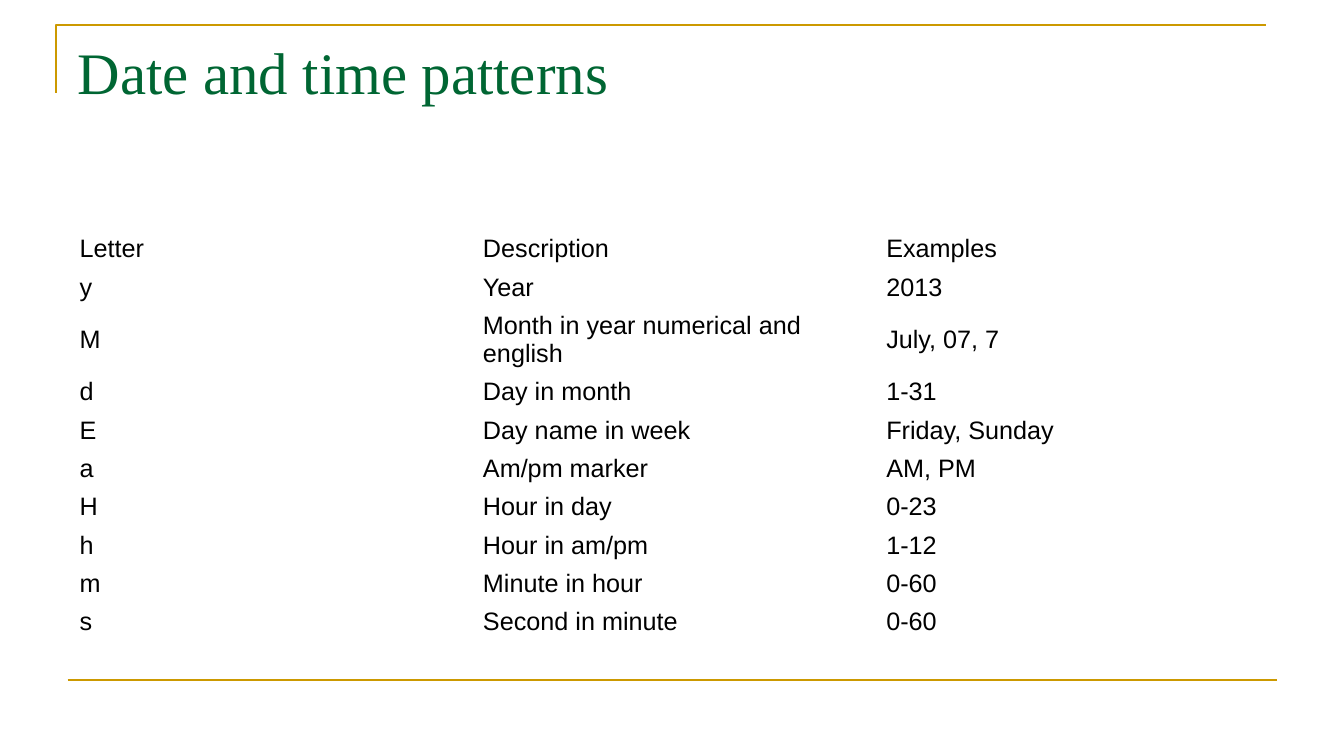
"""Build a slide with a table of date and time pattern letters."""
from pptx import Presentation
from pptx.dml.color import RGBColor
from pptx.enum.shapes import MSO_CONNECTOR as Conn
from pptx.enum.text import MSO_ANCHOR as Anchor, PP_ALIGN as Align
from pptx.oxml.ns import qn
from pptx.util import Inches, Pt
from lxml.etree import SubElement

GOLD, GREEN, BLACK = "CC9900", "006633", "000000"
LEFT, WIDTH = 0.67, 12
ROW_H, LINE_H = 0.38, 0.28
ROWS = [
    ("Letter", "Description", "Examples"),
    ("y", "Year", "2013"),
    ("M", "Month in year numerical and english", "July, 07, 7"),
    ("d", "Day in month", "1-31"),
    ("E", "Day name in week", "Friday, Sunday"),
    ("a", "Am/pm marker", "AM, PM"),
    ("H", "Hour in day", "0-23"),
    ("h", "Hour in am/pm", "1-12"),
    ("m", "Minute in hour", "0-60"),
    ("s", "Second in minute", "0-60"),
]


def rgb(value):
    return RGBColor.from_string(value)


def add_run(p, text, font, size, color):
    p.alignment = Align.LEFT
    r = p.add_run()
    r.text = text
    r.font.name, r.font.size = font, Pt(size)
    r.font.color.rgb = rgb(color)


prs = Presentation()
prs.slide_width, prs.slide_height = Inches(13.33), Inches(7.5)
s = prs.slides.add_slide(prs.slide_layouts[5])
s.background.fill.solid()
s.background.fill.fore_color.rgb = rgb("FFFFFF")

builder = s.shapes.build_freeform(Inches(0.56), Inches(0.92))
corner = [(Inches(0.56), Inches(0.25)), (Inches(0.56 + WIDTH), Inches(0.25))]
builder.add_line_segments(corner, close=False)
bracket = builder.convert_to_shape()
bracket.fill.background()
bracket.shadow.inherit = False

rule = s.shapes.add_connector(Conn.STRAIGHT, Inches(LEFT), Inches(6.75),
                              Inches(LEFT + WIDTH), Inches(6.75))
SubElement(rule._element.spPr, qn("a:effectLst"))
for sp in (bracket, rule):
    sp.line.color.rgb = rgb(GOLD)
    sp.line.width = Pt(1.5)

title = s.shapes.title
title.left, title.top = Inches(LEFT), Inches(0.3)
title.width, title.height = Inches(WIDTH), Inches(1.25)
tf = title.text_frame
tf.vertical_anchor = Anchor.TOP
add_run(tf.paragraphs[0], "Date and time patterns", "Times New Roman", 42, GREEN)

frame = s.shapes.add_table(len(ROWS), 3, Inches(0.69), Inches(2.28),
                           Inches(WIDTH), Inches(ROW_H * len(ROWS) + LINE_H))
table = frame.table
table.first_row = table.horz_banding = False
for row, texts in zip(table.rows, ROWS):
    wraps = len(texts[1]) > 30
    row.height = Inches(ROW_H + LINE_H * wraps)
    for cell, text in zip(row.cells, texts):
        cell.fill.background()
        cell.vertical_anchor = Anchor.MIDDLE
        add_run(cell.text_frame.paragraphs[0], text, "Arial", 18, BLACK)

prs.save("out.pptx")
